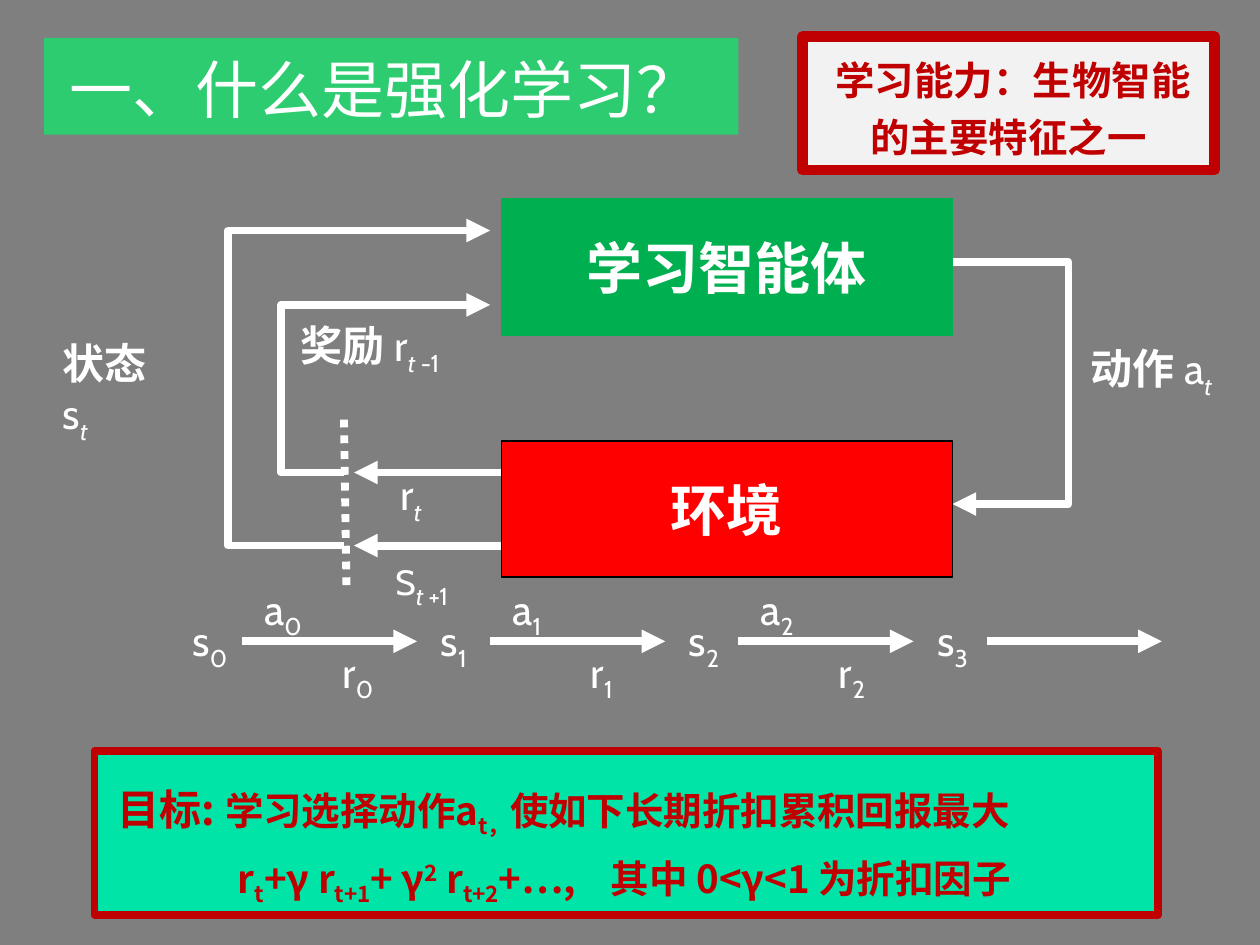
from lxml import etree
from pptx import Presentation
from pptx import util as u
from pptx.dml.color import RGBColor
from pptx.enum import dml, shapes, text
from pptx.oxml.ns import qn

WHITE, DARK_RED = "FFFFFF", "C00000"
LATIN, CJK = "Cabin", "Noto Sans CJK SC"
SUB, SUP = -25, 30
I = u.Inches


def rgb(value):
    return RGBColor.from_string(value)


def add_runs(p, runs, size, color, bold=False, font=LATIN):
    """Write (text, options) runs; options override the paragraph's look."""
    for words, opts in runs:
        r = p.add_run()
        r.text = words
        f = r.font
        f.name = opts.get("font", font)
        f.size = u.Pt(opts.get("size", size))
        f.bold = opts.get("bold", bold)
        f.italic = opts.get("italic", False)
        f.color.rgb = rgb(color)
        rPr = r._r.get_or_add_rPr()
        etree.SubElement(rPr, qn("a:ea"), typeface=CJK)
        if "base" in opts:
            rPr.set("baseline", str(opts["base"] * 1000))


def add_box(s, x, y, w, h, fill, line=None, width=0.75):
    sp = s.shapes.add_shape(shapes.MSO_SHAPE.RECTANGLE, I(x), I(y), I(w), I(h))
    sp.shadow.inherit = False
    sp.fill.solid()
    sp.fill.fore_color.rgb = rgb(fill)
    if line:
        sp.line.color.rgb = rgb(line)
        sp.line.width = u.Pt(width)
    else:
        sp.line.fill.background()
    sp.text_frame.word_wrap = True
    return sp


def add_node(s, y, label, fill, line):
    p = add_box(s, 3.98, y, 3.58, 1.08, fill, line).text_frame.paragraphs[0]
    p.alignment = text.PP_ALIGN.CENTER
    add_runs(p, [(label, {})], 32, WHITE, bold=True)


def add_label(s, x, y, w, *runs):
    tf = s.shapes.add_textbox(I(x), I(y), I(w), I(0.5)).text_frame
    tf.word_wrap = True
    add_runs(tf.paragraphs[0], runs, 24, WHITE)


def style_line(sp, arrow=True):
    sp.line.color.rgb = rgb(WHITE)
    sp.line.width = u.Pt(4.5)
    if arrow:
        etree.SubElement(sp.line._get_or_add_ln(), qn("a:tailEnd"), type="triangle")


def add_line(s, x1, y1, x2, y2, arrow=True):
    c = s.shapes.add_connector(shapes.MSO_CONNECTOR.STRAIGHT, I(x1), I(y1), I(x2), I(y2))
    style_line(c, arrow)
    if not arrow:
        c.line.dash_style = dml.MSO_LINE.ROUND_DOT
    etree.SubElement(c._element.spPr, qn("a:effectLst"))


def add_path(s, *points):
    start, *rest = [(I(x), I(y)) for x, y in points]
    fb = s.shapes.build_freeform(*start)
    fb.add_line_segments(rest, close=False)
    sp = fb.convert_to_shape()
    sp.fill.background()
    style_line(sp)
    sp.shadow.inherit = False


def add_title(s):
    add_box(s, 0.35, 0.3, 5.51, 0.77, "2ECC71")
    title = s.shapes.title
    title.left, title.top, title.width, title.height = I(0.47), I(0.36), I(5.39), I(0.68)
    tf = title.text_frame
    tf.auto_size = text.MSO_AUTO_SIZE.NONE
    tf.vertical_anchor = text.MSO_ANCHOR.TOP
    tf.margin_left = tf.margin_right = I(0.08)
    tf.margin_top = tf.margin_bottom = I(0.04)
    p = tf.paragraphs[0]
    p.alignment = text.PP_ALIGN.LEFT
    add_runs(p, [("一、什么是强化学习？", {})], 36, WHITE, font=CJK)
    # Bring the title in front of its banner
    s.shapes._spTree.append(title._element)


def add_loop(s):
    """Agent and environment with the signals between them."""
    bold, sub, var = {"bold": True}, {"base": SUB}, {"base": SUB, "italic": True}
    add_node(s, 1.58, "学习智能体", "00B050", "00B050")
    add_node(s, 3.5, "环境", "FF0000", "000000")

    add_path(s, (2.73, 4.33), (1.81, 4.33), (1.81, 1.83), (3.89, 1.83))
    add_path(s, (2.73, 3.75), (2.23, 3.75), (2.23, 2.42), (3.89, 2.42))
    add_path(s, (7.56, 2.08), (8.48, 2.08), (8.48, 4), (7.56, 4))
    add_line(s, 2.73, 3.33, 2.75, 4.67, arrow=False)
    for y in (4.33, 3.75):
        add_line(s, 3.98, y, 2.81, y)

    add_label(s, 0.4, 2.63, 1.05, ("状态 ", bold), ("s", {}), ("t", var))
    add_label(s, 2.29, 2.49, 1.6, ("奖励 ", bold), ("r", {}), ("t ", var), ("-1", sub))
    add_label(s, 8.56, 2.67, 1.44, ("动作", bold), (" a", {}), ("t", var))
    add_label(s, 3.08, 3.67, 0.71, ("r", {}), ("t", var))
    add_label(s, 3.04, 4.34, 0.83, ("S", {"size": 20}), ("t ", var), ("+1", sub))


def add_chain(s):
    """State sequence: s0, a0, r0, s1 and so on."""
    for i in range(4):
        dx = i * 1.97
        index = (str(i), {"base": SUB})
        add_label(s, 1.43 + dx, 4.83, 0.6, ("s", {}), index)
        add_line(s, 1.92 + dx, 5.09, 3.31 + dx, 5.09)
        if i < 3:
            add_label(s, 2 + dx, 4.58, 0.6, ("a", {}), index)
            add_label(s, 2.62 + dx, 5.08, 0.6, ("r", {}), index)


def add_feature(s):
    p = add_box(s, 6.37, 0.29, 3.27, 1.06, "F2F2F2", DARK_RED, 6).text_frame.paragraphs[0]
    p.alignment = text.PP_ALIGN.CENTER
    p.line_spacing = 1.2
    runs = [(" ", {}), ("学习能力：", {}), ("生物智能的主要特征之一", {"font": LATIN})]
    add_runs(p, runs, 22.5, DARK_RED, bold=True, font=CJK)


def add_goal(s):
    sub = {"base": SUB}
    tf = add_box(s, 0.75, 5.96, 8.44, 1.3, "00E4A8", DARK_RED, 4.5).text_frame
    tf.vertical_anchor = text.MSO_ANCHOR.TOP
    aim, formula = tf.paragraphs[0], tf.add_paragraph()
    for p in (aim, formula):
        p.alignment = text.PP_ALIGN.LEFT
        p.line_spacing = 1.3
    # Indent the formula and align its condition with a tab stop
    pPr = formula._p.get_or_add_pPr()
    pPr.set("marL", "0")
    pPr.set("indent", str(I(1.04)))
    tabs = etree.SubElement(pPr, qn("a:tabLst"))
    etree.SubElement(tabs, qn("a:tab"), pos=str(I(4.15)), algn="l")

    add_runs(aim, [(" ", {"size": 28}), ("目标: ", {"size": 24}), ("学习选择动作a", {}),
                   ("t，", sub), ("使如下长期折扣累积回报最大", {})],
             22, DARK_RED, bold=True, font=CJK)
    add_runs(formula, [("r", {}), ("t", sub), ("+γ r", {}), ("t+1", sub), ("+ γ", {}),
                       ("2", {"base": SUP}), (" r", {}), ("t+2", sub),
                       ("+…,\t其中 0<γ<1 为折扣因子", {})],
             22, DARK_RED, bold=True, font=CJK)


def main():
    prs = Presentation()
    prs.slide_width, prs.slide_height = I(10), I(7.5)
    s = prs.slides.add_slide(prs.slide_layouts[5])
    s.background.fill.solid()
    s.background.fill.fore_color.rgb = rgb("7F7F7F")
    add_loop(s)
    add_chain(s)
    add_title(s)
    add_feature(s)
    add_goal(s)
    prs.save("out.pptx")


if __name__ == "__main__":
    main()
